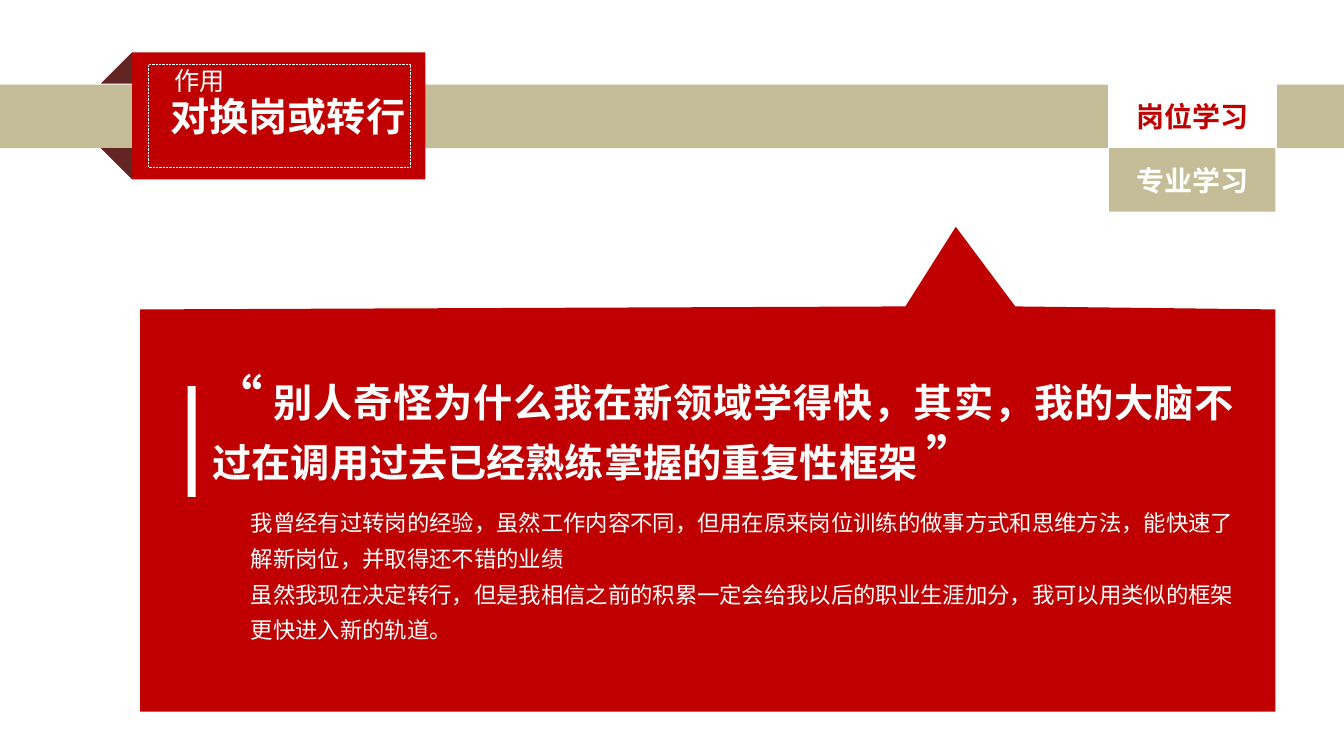
from pptx import Presentation
from pptx.enum import dml, shapes, text
from pptx.util import Inches, Pt

COLORS = {"red": "C00000", "maroon": "632523", "sand": "C4BD97", "white": "FFFFFF"}
RECT = shapes.MSO_SHAPE.RECTANGLE
TRIANGLE = shapes.MSO_SHAPE.RIGHT_TRIANGLE
CENTER = text.PP_ALIGN.CENTER
MIDDLE = text.MSO_ANCHOR.MIDDLE

QUOTE = "别人奇怪为什么我在新领域学得快，其实，我的大脑不过在调用过去已经熟练掌握的重复性框架 "
DETAILS = [
    "我曾经有过转岗的经验，虽然工作内容不同，但用在原来岗位训练的做事方式和思维方法，能快速了解新岗位，并取得还不错的业绩",
    "虽然我现在决定转行，但是我相信之前的积累一定会给我以后的职业生涯加分，我可以用类似的框架更快进入新的轨道。",
]
CALLOUT = [(1.39, 3.07), (8.98, 3.04), (9.48, 2.25), (10.07, 3.04),
           (12.65, 3.07), (12.65, 7.06), (1.39, 7.06)]


def paint(color_format, name):
    color_format.rgb = dml_rgb(name)


def dml_rgb(name):
    from pptx.dml.color import RGBColor
    return RGBColor.from_string(COLORS[name])


def fill_shape(sp, color):
    """Fill with a colour, or leave hollow for None; no line, no shadow."""
    sp.shadow.inherit = False
    if color:
        sp.fill.solid()
        paint(sp.fill.fore_color, color)
    else:
        sp.fill.background()
    sp.line.fill.background()


def outline(sp, width, dash=None):
    paint(sp.line.color, "white")
    sp.line.width = Pt(width)
    if dash:
        sp.line.dash_style = dash


def add_block(parent, at, color, preset=RECT):
    sp = parent.add_shape(preset, *map(Inches, at))
    fill_shape(sp, color)
    return sp


def add_fold(parent, top, flips):
    """Dark corner of the ribbon, mirrored along the given axes."""
    sp = add_block(parent, (1, top, 0.31, 0.31), "maroon", TRIANGLE)
    for flip in flips:
        sp.element.spPr.xfrm.set(flip, "1")


def add_run(p, words, size, name="Arial", color="white", bold=False):
    r = p.add_run()
    r.text = words
    for key, value in {"size": Pt(size), "name": name, "bold": bold}.items():
        setattr(r.font, key, value)
    paint(r.font.color, color)


def add_label(sp, words, size, color):
    tf = sp.text_frame
    tf.word_wrap = True
    tf.vertical_anchor = MIDDLE
    p = tf.paragraphs[0]
    p.alignment = CENTER
    add_run(p, words, size, color=color, bold=True)


def add_textbox(parent, at):
    tf = parent.add_textbox(*map(Inches, at)).text_frame
    tf.word_wrap = True
    return tf


def add_title(s):
    title = s.shapes.title
    for key, value in zip(("left", "top", "width", "height"), (1.31, 0.52, 2.91, 1.26)):
        setattr(title, key, Inches(value))
    title.fill.solid()
    paint(title.fill.fore_color, "red")
    title.text_frame.auto_size = text.MSO_AUTO_SIZE.NONE
    title.text_frame.margin_left = Inches(0.28)
    add_label(title, "对换岗或转行", 28, "white")
    return title


def add_callout(parent):
    points = [(Inches(x), Inches(y)) for x, y in CALLOUT]
    builder = parent.build_freeform(*points[0])
    builder.add_line_segments(points[1:], close=True)
    fill_shape(builder.convert_to_shape(), "red")


def add_tabs(parent):
    group = parent.add_group_shape().shapes
    tabs = [("岗位学习", "white", "red"), ("专业学习", "sand", "white")]
    for i, (words, fill, color) in enumerate(tabs):
        sp = add_block(group, (11, 0.84 + 0.63 * i, 1.65, 0.63), fill)
        add_label(sp, words, 20, color)
        if fill == "white":
            outline(sp, 2)


def add_quote(parent):
    tf = add_textbox(parent, (1.39, 3.59, 10.95, 2.95))
    p = tf.paragraphs[0]
    p.alignment = text.PP_ALIGN.JUSTIFY
    p._p.get_or_add_pPr().set("marL", str(Inches(0.62)))
    for words, size, name in [("“", 36, "Cambria"), (" ", 28, "Cambria"),
                              (QUOTE, 28, "Arial"), ("”", 36, "Cambria")]:
        add_run(p, words, size, name, bold=True)
    for i, words in enumerate(DETAILS):
        p = tf.add_paragraph()
        p._p.get_or_add_pPr().set("marL", str(Inches(1)))
        p.line_spacing = 1.33
        p.space_before = Pt(0 if i else 9)
        add_run(p, words, 16, "Roboto")


def main():
    prs = Presentation()
    prs.slide_width, prs.slide_height = Inches(13.33), Inches(7.5)
    s = prs.slides.add_slide(prs.slide_layouts[5])
    title = add_title(s)
    band = add_block(s.shapes, (0, 0.84, 13.33, 0.63), "sand")
    title.element.addprevious(band.element)  # the band runs behind the title
    add_fold(s.shapes, 0.52, ["flipH"])
    add_fold(s.shapes, 1.47, ["flipH", "flipV"])
    add_callout(s.shapes)
    tf = add_textbox(s.shapes, (1.63, 0.6, 0.94, 0.4))
    add_run(tf.paragraphs[0], "作用", 18)
    frame = add_block(s.shapes, (1.47, 0.64, 2.6, 1.02), None)
    outline(frame, 0.5, dml.MSO_LINE.ROUND_DOT)
    add_tabs(s.shapes)
    add_quote(s.shapes)
    add_block(s.shapes, (1.86, 3.83, 0.08, 1.1), "white")
    prs.save("out.pptx")


if __name__ == "__main__":
    main()
